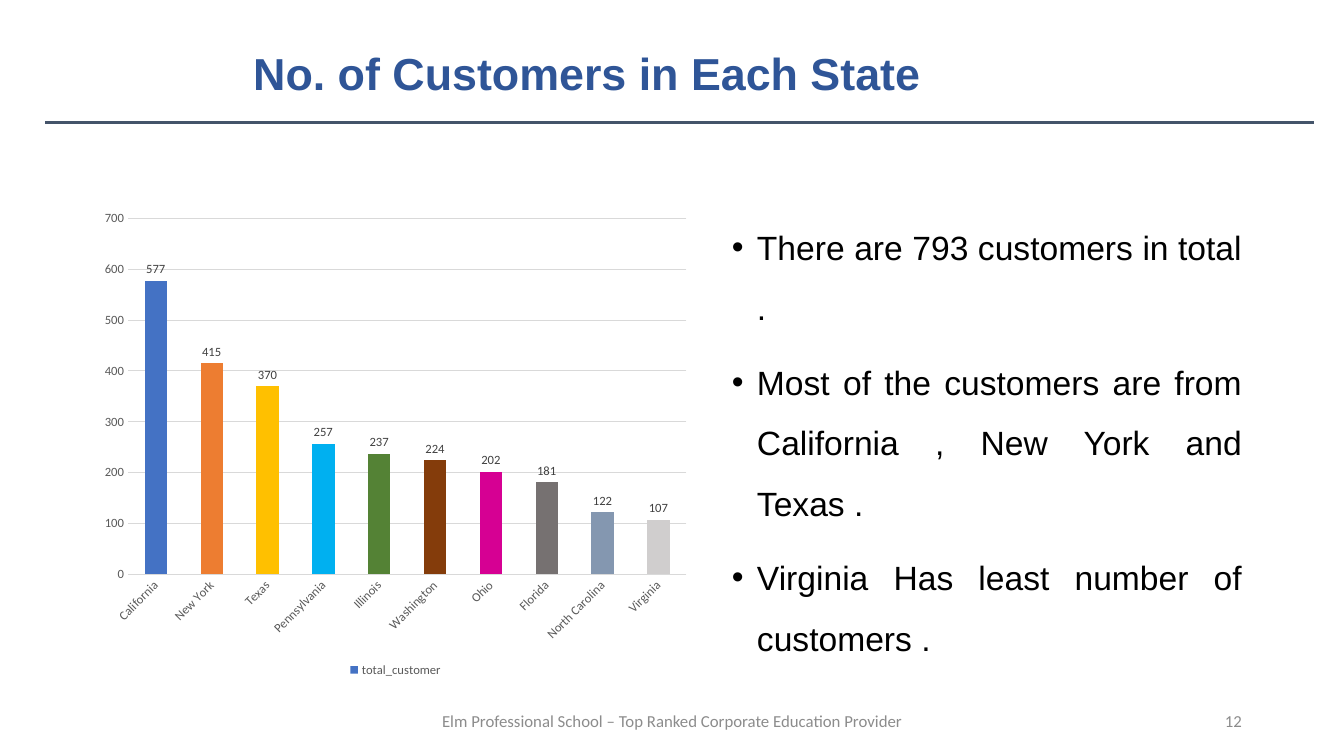
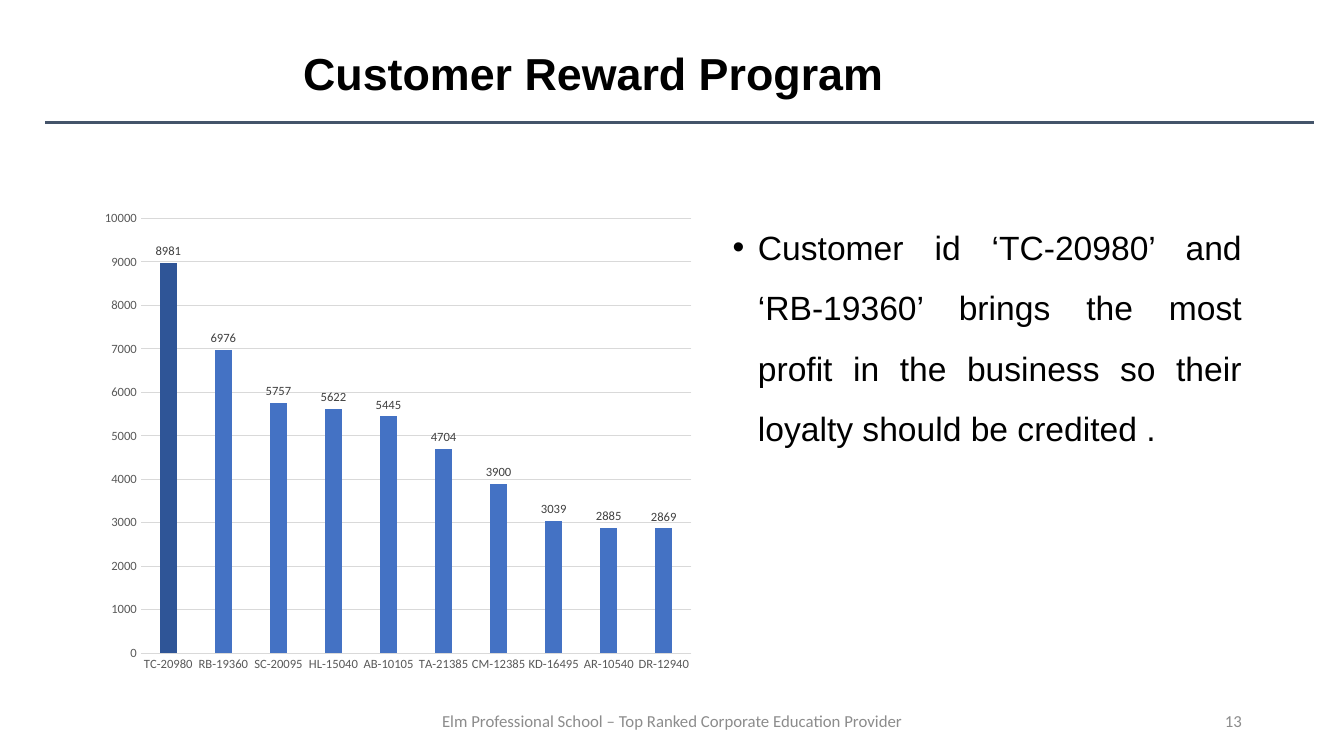
from dataclasses import dataclass
from lxml.etree import SubElement
from pptx import Presentation
from pptx.chart.chart import Chart
from pptx.chart.data import CategoryChartData
from pptx.dml.color import RGBColor
from pptx.enum.chart import XL_CHART_TYPE, XL_LABEL_POSITION, XL_LEGEND_POSITION, XL_TICK_MARK
from pptx.enum.shapes import MSO_CONNECTOR
from pptx.enum.text import MSO_ANCHOR, MSO_AUTO_SIZE, PP_ALIGN
from pptx.oxml.ns import qn
from pptx.slide import Slide
from pptx.text.text import Font, TextFrame, _Paragraph
from pptx.util import Pt

AUTO_TURN = -1000


@dataclass(frozen=True)
class Theme:
    black: str = "000000"
    navy: str = "2F5597"
    blue: str = "4472C4"
    rule: str = "44546A"
    grid: str = "D9D9D9"
    axis: str = "595959"
    label: str = "404040"
    foot: str = "8C8C8C"
    head: str = "Arial"
    text: str = "Calibri"
    title_size: int = 32
    body_size: int = 24
    foot_size: int = 12
    chart_size: int = 10
    tick_size: int = 9


@dataclass(frozen=True)
class Box:
    left: float
    top: float
    width: float
    height: float

    def args(self) -> tuple[Pt, ...]:
        return Pt(self.left), Pt(self.top), Pt(self.width), Pt(self.height)


@dataclass(frozen=True)
class Bars:
    box: Box
    name: str
    data: dict[str, int]
    tints: dict[int, str]
    gap: int
    top: int
    step: int
    turn: int = AUTO_TURN
    legend: bool = False
    base: bool = False


@dataclass(frozen=True)
class Page:
    number: int
    title: str
    tint: str
    indent: float
    body: Box
    points: tuple[str, ...]
    bars: Bars


THEME = Theme()
TITLE = Box(31.7, 23, 828, 62)
FOOT = Box(306.7, 500.5, 347, 28.8)
NUMBER = Box(678.2, 500.5, 216, 28.8)
FOOTER = "Elm Professional School – Top Ranked Corporate Education Provider"

PAGES = (
    Page(
        12, "No. of Customers in Each State", THEME.navy, 142,
        Box(515.5, 144, 378.7, 342.7),
        (
            "There are 793 customers in total .",
            "Most of the customers are from California , New York and Texas .",
            "Virginia Has least number of customers .",
        ),
        Bars(
            Box(66.2, 144, 432.7, 342.7), "total_customer",
            {
                "California": 577, "New York": 415, "Texas": 370,
                "Pennsylvania": 257, "Illinois": 237, "Washington": 224,
                "Ohio": 202, "Florida": 181, "North Carolina": 122,
                "Virginia": 107,
            },
            {
                1: "ED7D31", 2: "FFC000", 3: "00B0F0", 4: "548235", 5: "843C0B",
                6: "D60093", 7: "767171", 8: "8497B0", 9: "D0CECE",
            },
            gap=150, top=700, step=100, turn=-45, legend=True,
        ),
    ),
    Page(
        13, "Customer Reward Program", THEME.black, 177.6,
        Box(516.2, 144, 378, 281.5),
        (
            "Customer id ‘TC-20980’ and ‘RB-19360’ brings the most profit "
            "in the business so their loyalty should be credited .",
        ),
        Bars(
            Box(66.2, 144, 436.3, 342.7), "Series 1",
            {
                "TC-20980": 8981, "RB-19360": 6976, "SC-20095": 5757,
                "HL-15040": 5622, "AB-10105": 5445, "TA-21385": 4704,
                "CM-12385": 3900, "KD-16495": 3039, "AR-10540": 2885,
                "DR-12940": 2869,
            },
            {0: THEME.navy}, gap=219, top=10000, step=1000, base=True,
        ),
    ),
)


def style(font: Font, face: str, size: float, tint: str, bold: bool = False) -> None:
    font.name = face
    font.size = Pt(size)
    font.bold = bold
    font.color.rgb = RGBColor.from_string(tint)


def add_run(para: _Paragraph, text: str, face: str, size: float, tint: str,
            bold: bool = False) -> None:
    run = para.add_run()
    run.text = text
    style(run.font, face, size, tint, bold)


def set_indent(para: _Paragraph, left: float, first: float = 0) -> None:
    props = para._p.get_or_add_pPr()
    props.set("marL", str(Pt(left)))
    props.set("indent", str(Pt(first)))


def place(shape, box: Box) -> TextFrame:
    shape.left, shape.top, shape.width, shape.height = box.args()
    frame = shape.text_frame
    frame.word_wrap = True
    frame.auto_size = MSO_AUTO_SIZE.NONE
    return frame


def add_title(slide: Slide, page: Page) -> None:
    frame = place(slide.shapes.title, TITLE)
    frame.vertical_anchor = MSO_ANCHOR.MIDDLE
    para = frame.paragraphs[0]
    para.alignment = PP_ALIGN.LEFT
    para.line_spacing = 0.9
    set_indent(para, page.indent)
    add_run(para, page.title, THEME.head, THEME.title_size, page.tint, True)


def add_body(slide: Slide, page: Page) -> None:
    frame = place(slide.placeholders[1], page.body)
    frame.vertical_anchor = MSO_ANCHOR.TOP
    for spot, text in enumerate(page.points):
        para = frame.add_paragraph() if spot else frame.paragraphs[0]
        para.alignment = PP_ALIGN.JUSTIFY
        para.line_spacing = 1.5
        para.space_before = Pt(10)
        set_indent(para, 18, -18)
        add_run(para, text, THEME.head, THEME.body_size, THEME.black)


def add_note(slide: Slide, box: Box, text: str, align: PP_ALIGN) -> None:
    frame = place(slide.shapes.add_textbox(*box.args()), box)
    frame.vertical_anchor = MSO_ANCHOR.MIDDLE
    para = frame.paragraphs[0]
    para.alignment = align
    add_run(para, text, THEME.text, THEME.foot_size, THEME.foot)


def add_frame(slide: Slide, number: int) -> None:
    rule = slide.shapes.add_connector(
        MSO_CONNECTOR.STRAIGHT, Pt(32.4), Pt(87.6), Pt(938.4), Pt(87.6))
    rule.line.color.rgb = RGBColor.from_string(THEME.rule)
    rule.line.width = Pt(2)
    SubElement(rule._element.spPr, qn("a:effectLst"))
    add_note(slide, FOOT, FOOTER, PP_ALIGN.CENTER)
    add_note(slide, NUMBER, str(number), PP_ALIGN.RIGHT)


def style_axes(chart: Chart, bars: Bars) -> None:
    names, scale = chart.category_axis, chart.value_axis
    for axis in (names, scale):
        axis.major_tick_mark = axis.minor_tick_mark = XL_TICK_MARK.NONE
        style(axis.tick_labels.font, THEME.text, THEME.tick_size, THEME.axis)
        axis.format.line.fill.background()
    turn = names._element.find(qn("c:txPr")).find(qn("a:bodyPr"))
    turn.set("rot", str(bars.turn * 60000))
    grid = RGBColor.from_string(THEME.grid)
    lines = [scale.major_gridlines.format.line]
    if bars.base:
        lines.append(names.format.line)
    for line in lines:
        line.color.rgb = grid
        line.width = Pt(0.75)
    scale.minimum_scale = 0
    scale.maximum_scale = bars.top
    scale.major_unit = bars.step


def add_bars(slide: Slide, bars: Bars) -> None:
    data = CategoryChartData()
    data.categories = list(bars.data)
    data.add_series(bars.name, list(bars.data.values()))
    chart = slide.shapes.add_chart(
        XL_CHART_TYPE.COLUMN_CLUSTERED, *bars.box.args(), data).chart
    style(chart.font, THEME.text, THEME.chart_size, THEME.black)
    chart.has_title = False
    chart.has_legend = bars.legend
    if bars.legend:
        chart.legend.position = XL_LEGEND_POSITION.BOTTOM
        chart.legend.include_in_layout = False
        style(chart.legend.font, THEME.text, THEME.tick_size, THEME.axis)
    style_axes(chart, bars)
    plot = chart.plots[0]
    plot.vary_by_categories = False
    plot.gap_width = bars.gap
    plot.overlap = -27 if bars.base else 0
    row = plot.series[0]
    row.format.fill.solid()
    row.format.fill.fore_color.rgb = RGBColor.from_string(THEME.blue)
    for spot, tint in bars.tints.items():
        fill = row.points[spot].format.fill
        fill.solid()
        fill.fore_color.rgb = RGBColor.from_string(tint)
    labels = row.data_labels
    labels.show_value = True
    labels.position = XL_LABEL_POSITION.OUTSIDE_END
    style(labels.font, THEME.text, THEME.tick_size, THEME.label)


def main() -> None:
    deck = Presentation()
    deck.slide_width, deck.slide_height = Pt(960), Pt(540)
    for page in PAGES:
        slide = deck.slides.add_slide(deck.slide_layouts[1])
        add_frame(slide, page.number)
        add_title(slide, page)
        add_body(slide, page)
        add_bars(slide, page.bars)
    deck.save("out.pptx")


if __name__ == "__main__":
    main()
